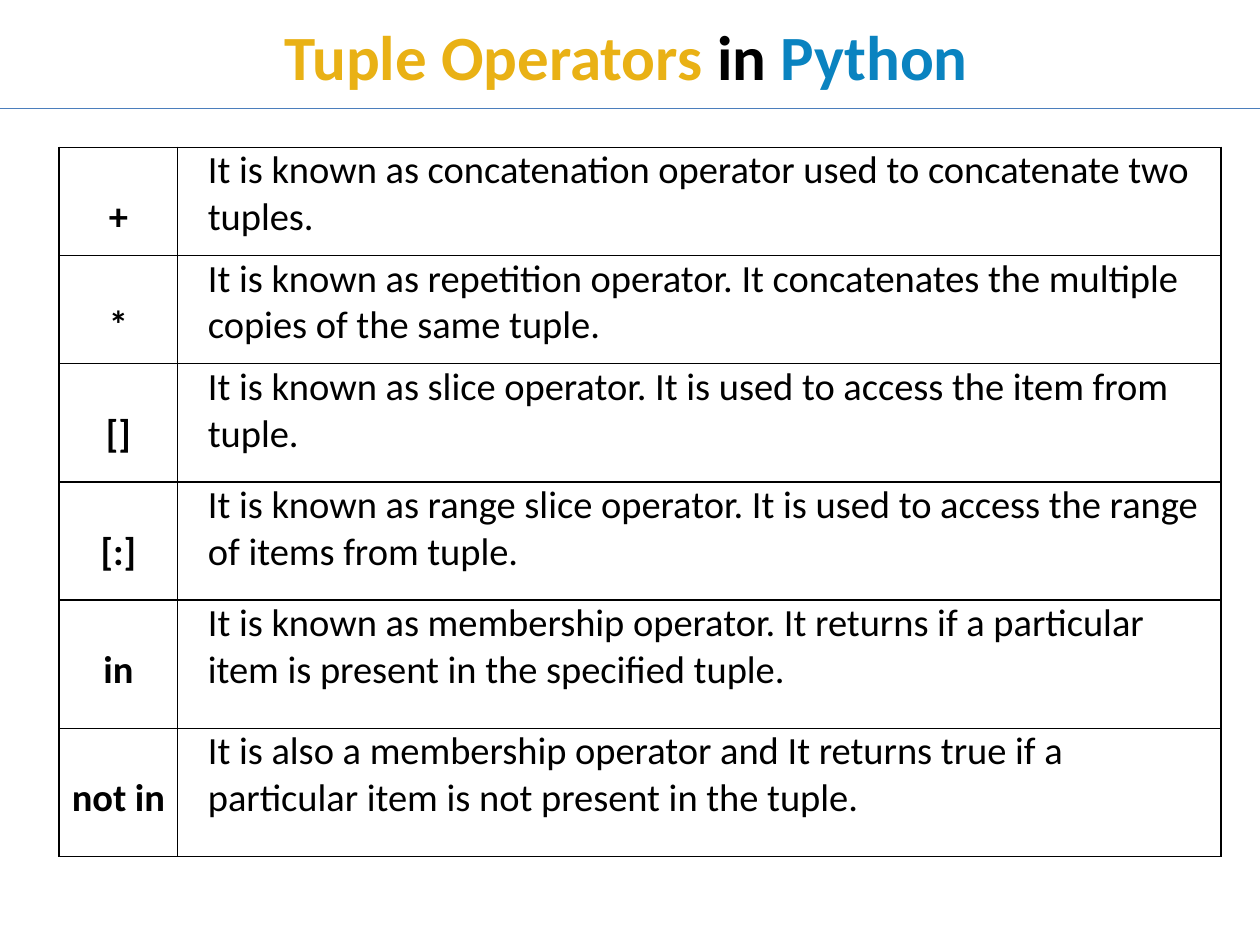
from lxml import etree
from pptx import Presentation
from pptx import util as u
from pptx.dml.color import RGBColor
from pptx.enum import shapes, text
from pptx.oxml import ns

GOLD = RGBColor(0xE9, 0xB1, 0x15)
BLUE = RGBColor(0x0A, 0x83, 0xC0)
RULE_BLUE = RGBColor(0x4B, 0x7E, 0xBC)
BLACK = RGBColor(0, 0, 0)
FONT = "Calibri"
WIDTH, HEIGHT = u.Inches(10), u.Inches(7.5)

TITLE = [("Tuple Operators ", GOLD), ("in ", BLACK), ("Python", BLUE)]
COLUMNS = [0.94, 8.28]
OPERATORS = [
    ("+", "It is known as concatenation operator used to concatenate two tuples.", 0.86),
    ("*", "It is known as repetition operator. It concatenates the multiple copies of the same tuple.", 0.86),
    ("[]", "It is known as slice operator. It is used to access the item from tuple.", 0.94),
    ("[:]", "It is known as range slice operator. It is used to access the range of items from tuple.", 0.94),
    ("in", "It is known as membership operator. It returns if a particular item is present in the specified tuple.", 1.02),
    ("not in", "It is also a membership operator and It returns true if a particular item is not present in the tuple.", 1.02),
]


def style_run(run, size, color, bold):
    """Give a run its font, size, colour and weight."""
    run.font.name = FONT
    run.font.size = u.Pt(size)
    run.font.bold = bold
    run.font.color.rgb = color


def add_title(slide, left, top, width, height):
    """Place the three-coloured title in its placeholder."""
    title = slide.shapes.title
    title.left, title.top, title.width, title.height = left, top, width, height
    frame = title.text_frame
    frame.vertical_anchor = text.MSO_ANCHOR.MIDDLE
    heading = frame.paragraphs[0]
    heading.alignment = text.PP_ALIGN.CENTER
    for words, color in TITLE:
        run = heading.add_run()
        run.text = words
        style_run(run, 36, color, True)


def add_rule(slide, left, top, width):
    """Draw the thin horizontal rule below the title."""
    rule = slide.shapes.add_connector(
        shapes.MSO_CONNECTOR.STRAIGHT, left, top, left + width, top)
    rule.line.color.rgb = RULE_BLUE
    rule.line.width = u.Pt(0.75)
    etree.SubElement(rule._element.spPr, ns.qn("a:effectLst"))


def add_borders(cell):
    """Outline a cell on all four sides in black."""
    properties = cell._tc.get_or_add_tcPr()
    for side in ("lnL", "lnR", "lnT", "lnB"):
        border = etree.SubElement(properties, ns.qn(f"a:{side}"), w=str(u.Pt(1)))
        fill = etree.SubElement(border, ns.qn("a:solidFill"))
        etree.SubElement(fill, ns.qn("a:srgbClr"), val=str(BLACK))


def fill_cell(cell, words, bold):
    """Write one cell with its margins, border and font."""
    cell.text_frame.text = words
    cell.margin_left = cell.margin_right = u.Inches(0.07)
    cell.margin_top = cell.margin_bottom = 0
    add_borders(cell)
    cell.fill.background()
    paragraph = cell.text_frame.paragraphs[0]
    style_run(paragraph.runs[0], 22, BLACK, bold)
    return paragraph


def add_operators(slide, left, top, width, height):
    """Build the table of operators and their meanings."""
    table = slide.shapes.add_table(
        len(OPERATORS), len(COLUMNS), left, top, width, height).table
    table.first_row = table.horz_banding = False
    for column, share in zip(table.columns, COLUMNS):
        column.width = int(width * share / sum(COLUMNS))
    total = sum(share for _, _, share in OPERATORS)
    for row, (operator, meaning, share) in zip(table.rows, OPERATORS):
        row.height = int(height * share / total)
        symbol = fill_cell(row.cells[0], operator, True)
        symbol.alignment = text.PP_ALIGN.CENTER
        symbol.line_spacing = 2.0
        description = fill_cell(row.cells[1], meaning, False)
        description._p.get_or_add_pPr().set("marL", str(u.Inches(0.17)))


def main():
    """Build and save the slide."""
    deck = Presentation()
    deck.slide_width, deck.slide_height = WIDTH, HEIGHT
    slide = deck.slides.add_slide(deck.slide_layouts[5])
    margin = u.Inches(0.47)
    add_title(slide, margin, 0, int(WIDTH * 0.9), u.Inches(0.87))
    add_rule(slide, 0, u.Inches(0.86), WIDTH)
    add_operators(slide, margin, u.Inches(1.17), u.Inches(9.22), u.Inches(5.63))
    deck.save("out.pptx")


if __name__ == "__main__":
    main()
